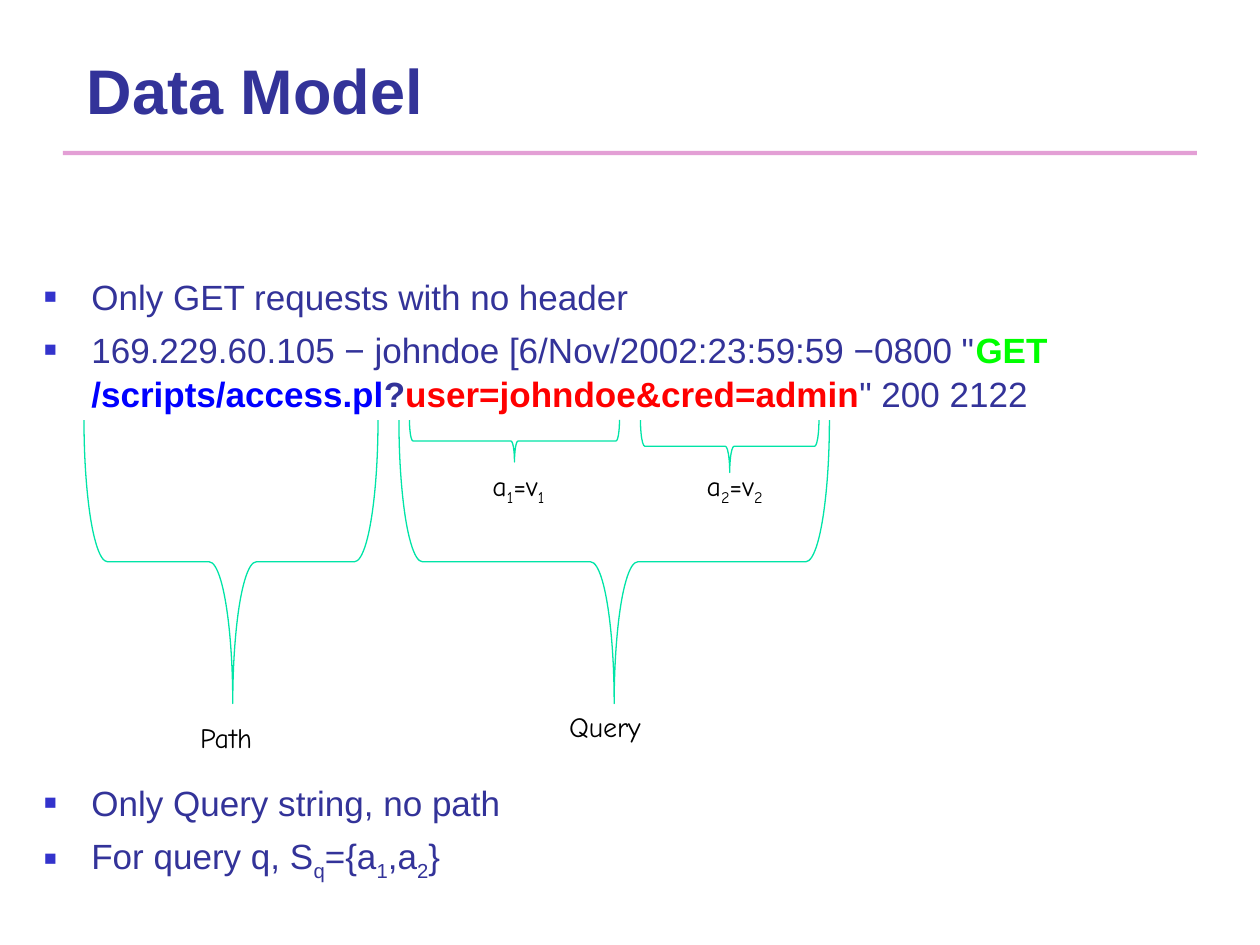
import pptx
import pptx.dml.color
import pptx.enum.shapes
import pptx.enum.text
import pptx.oxml
import pptx.oxml.ns
import pptx.util
import lxml.etree

Pt = pptx.util.Pt
qn = pptx.oxml.ns.qn
COLORS = {
    "text": "333399", "bullet": "3333CC", "rule": "DD87CB", "brace": "00E4A7",
    "method": "00FF00", "path": "0000FF", "query": "FF0000", "label": "000000",
}
SUBSCRIPT = -25


def rgb(name):
    return pptx.dml.color.RGBColor.from_string(COLORS[name])


def place(shape, left, top, width, height):
    shape.left, shape.top = Pt(left), Pt(top)
    shape.width, shape.height = Pt(width), Pt(height)


def add_span(para, text, size, color="text", font="Arial", bold=False, baseline=0):
    span = para.add_run()
    span.text = text
    span.font.name, span.font.size, span.font.bold = font, Pt(size), bold
    span.font.color.rgb = rgb(color)
    if baseline:
        span._r.get_or_add_rPr().set("baseline", str(baseline * 1000))


def add_subscripted(para, pieces, **style):
    """Pieces alternate between normal text and subscript."""
    for index, piece in enumerate(pieces):
        add_span(para, piece, baseline=SUBSCRIPT if index % 2 else 0, **style)


def set_bullet(para):
    props = para._p.get_or_add_pPr()
    props.set("marL", str(Pt(27)))
    props.set("indent", str(Pt(-27)))
    color = lxml.etree.SubElement(props, qn("a:buClr"))
    lxml.etree.SubElement(color, qn("a:srgbClr"), val=COLORS["bullet"])
    lxml.etree.SubElement(props, qn("a:buSzPct"), val="60000")
    lxml.etree.SubElement(props, qn("a:buFont"), typeface="Arial")
    lxml.etree.SubElement(props, qn("a:buChar"), char="■")


def add_bullet(frame, space_before=0):
    first = not space_before
    para = frame.paragraphs[0] if first else frame.add_paragraph()
    set_bullet(para)
    para.alignment = pptx.enum.text.PP_ALIGN.LEFT
    para.line_spacing = 1.05
    para.space_before = Pt(space_before)
    return para


def add_rule(page):
    rule = page.shapes.add_shape(
        pptx.enum.shapes.MSO_SHAPE.RECTANGLE, Pt(36), Pt(86.2), Pt(648), Pt(2.4))
    rule.shadow.inherit = False
    rule.fill.solid()
    rule.fill.fore_color.rgb = rgb("rule")
    fill_color = rule._element.spPr.find(".//" + qn("a:srgbClr"))
    lxml.etree.SubElement(fill_color, qn("a:alpha"), val="80000")
    rule.line.fill.background()


def add_brace(page, left, width, depth, tip=0.5):
    """Draw a brace that opens upwards, by turning a left brace."""
    top = 240
    brace = page.shapes.add_shape(
        pptx.enum.shapes.MSO_SHAPE.LEFT_BRACE,
        Pt(left + (width - depth) / 2), Pt(top + (depth - width) / 2),
        Pt(depth), Pt(width))
    brace.rotation = 270
    brace.adjustments[1] = tip
    brace.shadow.inherit = False
    brace.fill.background()
    brace.line.color.rgb = rgb("brace")
    brace.line.width = Pt(0.75)


def add_label(page, left, top, width, height, pieces):
    box = page.shapes.add_textbox(Pt(left), Pt(top), Pt(width), Pt(height))
    box.text_frame.word_wrap = False
    box.text_frame.auto_size = pptx.enum.text.MSO_AUTO_SIZE.SHAPE_TO_FIT_TEXT
    add_subscripted(box.text_frame.paragraphs[0], pieces,
                    size=16, color="label", font="Comic Neue")


def fill_title(title):
    place(title, 42.5, -13.7, 613.4, 90)
    frame = title.text_frame
    frame.auto_size = pptx.enum.text.MSO_AUTO_SIZE.NONE
    frame.vertical_anchor = pptx.enum.text.MSO_ANCHOR.BOTTOM
    frame.paragraphs[0].alignment = pptx.enum.text.PP_ALIGN.LEFT
    add_span(frame.paragraphs[0], "Data Model", 36, bold=True)


def fill_body(body):
    place(body, 18, 152.6, 690, 345.6)
    frame = body.text_frame
    frame.auto_size = pptx.enum.text.MSO_AUTO_SIZE.NONE
    frame.vertical_anchor = pptx.enum.text.MSO_ANCHOR.TOP
    add_span(add_bullet(frame), "Only GET requests with no header", 20)

    # Log entry with its request parts highlighted
    entry = add_bullet(frame, 5)
    for text, color, bold in (
        ('169.229.60.105 − johndoe [6/Nov/2002:23:59:59 −0800 "', "text", False),
        ("GET ", "method", True),
        ("/scripts/access.pl", "path", True),
        ("?", "text", True),
        ("user=johndoe&cred=admin", "query", True),
        ('" 200 2122', "text", False),
    ):
        add_span(entry, text, 20, color, bold=bold)

    # The large space leaves room for the braces
    add_span(add_bullet(frame, 208.4), "Only Query string, no path", 20)
    add_subscripted(add_bullet(frame, 5),
                    ("For query q, S", "q", "={a", "1", ",a", "2", "}"), size=20)


def main():
    deck = pptx.Presentation()
    deck.slide_width, deck.slide_height = Pt(720), Pt(540)
    page = deck.slides.add_slide(deck.slide_layouts[1])
    add_rule(page)
    fill_title(page.shapes.title)
    fill_body(page.placeholders[1])

    # Braces: query, path, first and second attribute
    add_brace(page, 228, 246, 162)
    add_brace(page, 48, 168, 162, tip=0.506)
    add_brace(page, 234, 120, 24)
    add_brace(page, 366, 102, 30)

    # Brace labels
    add_label(page, 107.3, 408, 44.6, 26.6, ["Path"])
    add_label(page, 318.2, 402, 55.4, 26.6, ["Query"])
    add_label(page, 274.3, 264, 43.9, 29.5, ["a", "1", "=v", "1"])
    add_label(page, 396.7, 264, 46.1, 29.5, ["a", "2", "=v", "2"])

    deck.save("out.pptx")


if __name__ == "__main__":
    main()
